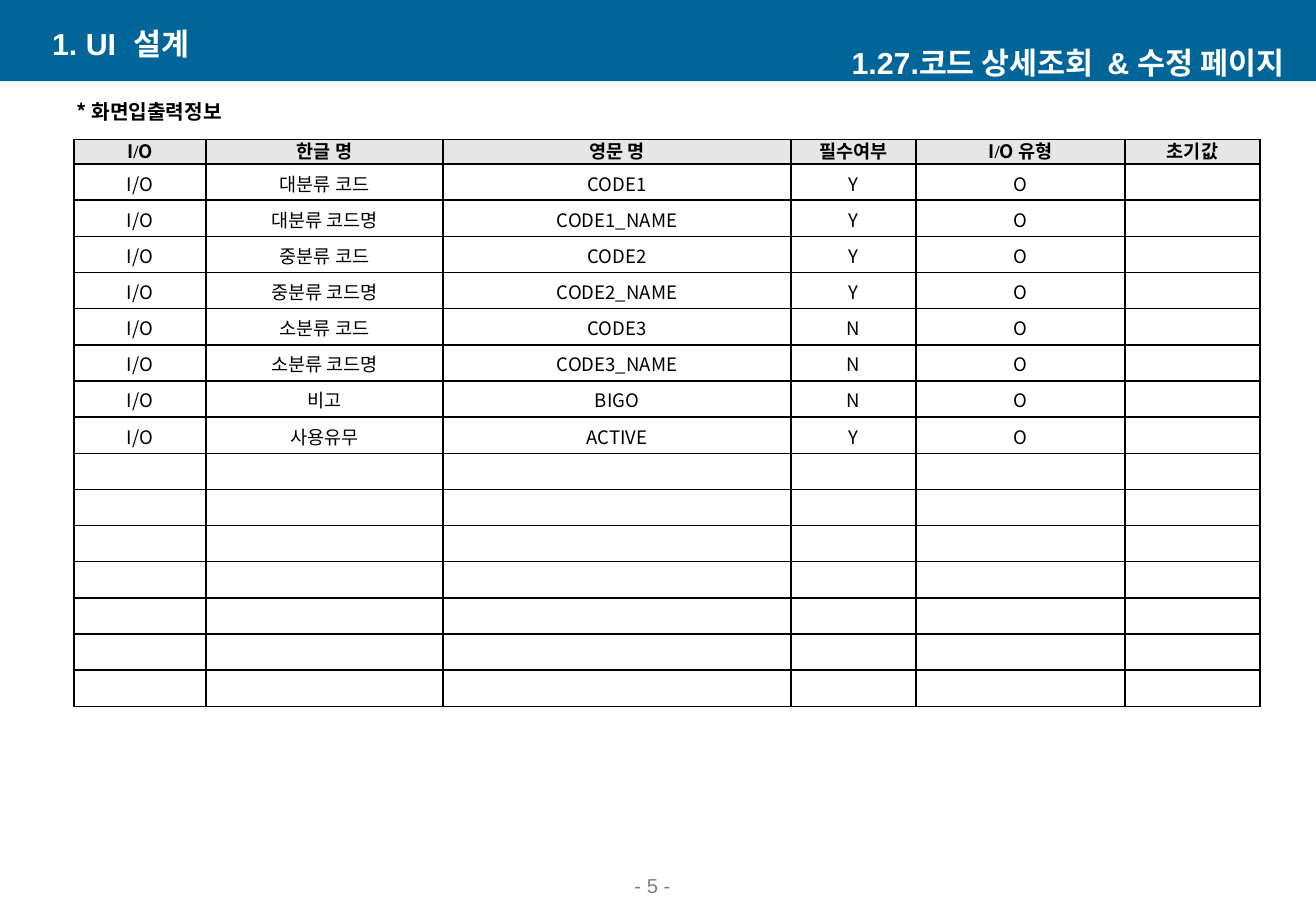
import pptx
import pptx.util
import pptx.dml.color
import pptx.enum.shapes
import pptx.enum.text
import pptx.oxml.ns
from lxml import etree

Cm, Pt, qn = pptx.util.Cm, pptx.util.Pt, pptx.oxml.ns.qn
ALIGN, ANCHOR = pptx.enum.text.PP_ALIGN, pptx.enum.text.MSO_ANCHOR

# Content
KOREAN, LATIN, SLASH = "Noto Sans CJK KR", "Arial", "Times New Roman"
HEADERS = ["I/O", "한글 명", "영문 명", "필수여부", "I/O 유형", "초기값"]
FIELDS = [
    ("대분류 코드", "CODE1", "Y"),
    ("대분류 코드명", "CODE1_NAME", "Y"),
    ("중분류 코드", "CODE2", "Y"),
    ("중분류 코드명", "CODE2_NAME", "Y"),
    ("소분류 코드", "CODE3", "N"),
    ("소분류 코드명", "CODE3_NAME", "N"),
    ("비고", "BIGO", "N"),
    ("사용유무", "ACTIVE", "Y"),
]
COL_WIDTHS = [2.76, 4.95, 7.28, 2.61, 4.37, 2.82]
BODY_ROWS, HEADER_H, TABLE_H = 15, 0.51, 11.86

# text, box (left, top, width, height), right inset, size, font, colour, bold, align, anchor
LABELS = [
    ("- 5 -", (10.77, 18.11, 5.74, 0.79), 0.25, 12, LATIN, "808080", False,
     ALIGN.CENTER, ANCHOR.BOTTOM),
    ("* 화면입출력정보", (1.19, 1.96, 3.86, 0.74), 0.25, 12, KOREAN, "000000", True,
     ALIGN.CENTER, ANCHOR.MIDDLE),
    ("1. UI  설계", (0.84, 0.48, 11.13, 0.84), 0.25, 18, LATIN, "FFFFFF", True,
     ALIGN.LEFT, ANCHOR.MIDDLE),
    ("1.27.코드 상세조회  & 수정 페이지", (16.38, 0.89, 11.13, 0.84), 0.66, 18, LATIN,
     "FFFFFF", True, ALIGN.RIGHT, ANCHOR.MIDDLE),
]


def rgb(value):
    return pptx.dml.color.RGBColor.from_string(value)


def style(r, size, font, color, bold):
    r.font.size, r.font.name, r.font.bold = Pt(size), font, bold
    r.font.color.rgb = rgb(color)
    etree.SubElement(r.font._element, qn("a:ea"), typeface=KOREAN)


def add_borders(cell):
    tcPr = cell._tc.get_or_add_tcPr()
    for i, side in enumerate(("lnL", "lnR", "lnT", "lnB")):
        ln = etree.Element(qn("a:" + side), w=str(Pt(1)))
        fill = etree.SubElement(ln, qn("a:solidFill"))
        etree.SubElement(fill, qn("a:srgbClr"), val="000000")
        tcPr.insert(i, ln)


def fill_cell(cell, text, header):
    cell.vertical_anchor = ANCHOR.MIDDLE
    cell.margin_left = cell.margin_right = Cm(0.18 if header else 0.03)
    cell.margin_top = Cm(0 if header else 0.03)
    cell.margin_bottom = 0
    cell.fill.solid()
    cell.fill.fore_color.rgb = rgb("E6E6E6" if header else "FFFFFF")
    add_borders(cell)
    p = cell.text_frame.paragraphs[0]
    p.alignment = ALIGN.CENTER
    if header:
        p.line_spacing = Pt(14)
    elif text:
        p.space_before = p.space_after = Pt(2.5)
    else:
        etree.SubElement(p._p, qn("a:endParaRPr"), sz="1100")
    # The slash in a header has its own font
    for part in text.partition("/") if header else (text,):
        if part:
            r = p.add_run()
            r.text = part
            style(r, 11, SLASH if part == "/" else KOREAN, "000000", header)


prs = pptx.Presentation()
prs.slide_width, prs.slide_height = Cm(27.51), Cm(19.05)
s = prs.slides.add_slide(prs.slide_layouts[6])

# Title band
band = s.shapes.add_shape(pptx.enum.shapes.MSO_SHAPE.RECTANGLE, 0, 0, prs.slide_width, Cm(1.7))
band.shadow.inherit = False
band.fill.solid()
band.fill.fore_color.rgb = rgb("006699")
band.line.fill.background()

# Field table
rows = [HEADERS] + [("I/O", *field, "O", "") for field in FIELDS]
rows += [("",) * len(HEADERS)] * (BODY_ROWS + 1 - len(rows))
table = s.shapes.add_table(len(rows), len(HEADERS), Cm(1.55), Cm(2.92),
                           Cm(sum(COL_WIDTHS)), Cm(TABLE_H)).table
for col, width in zip(table.columns, COL_WIDTHS):
    col.width = Cm(width)
for i, row in enumerate(rows):
    table.rows[i].height = Cm((TABLE_H - HEADER_H) / BODY_ROWS if i else HEADER_H)
    for j, text in enumerate(row):
        fill_cell(table.cell(i, j), text, header=i == 0)

# Titles, table caption and page number
for text, box, inset, size, font, color, bold, align, anchor in LABELS:
    tf = s.shapes.add_textbox(*map(Cm, box)).text_frame
    tf.word_wrap = True
    tf.vertical_anchor = anchor
    tf.margin_right = Cm(inset)
    tf.text = text
    p = tf.paragraphs[0]
    p.alignment = align
    style(p.runs[0], size, font, color, bold)

prs.save("out.pptx")
